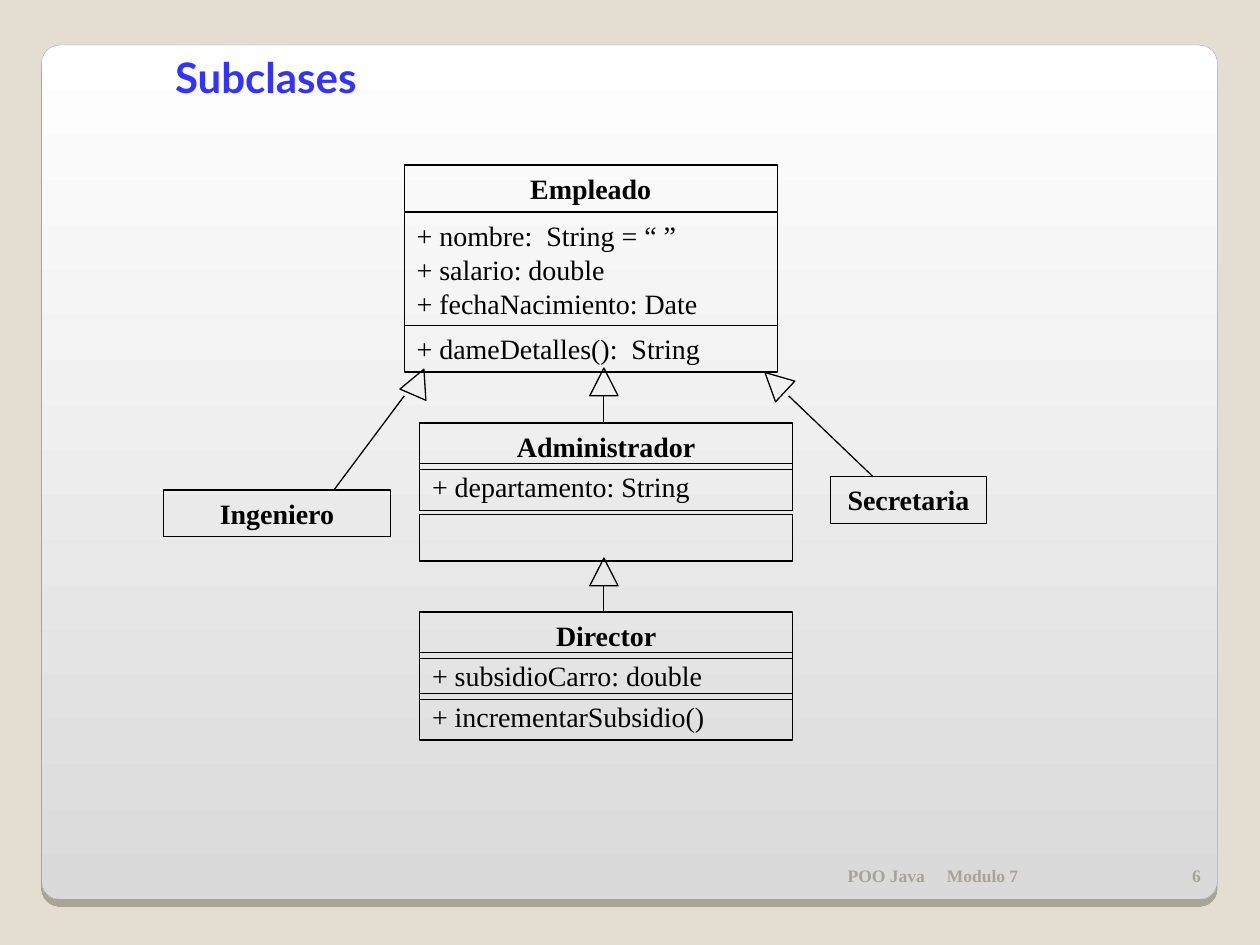
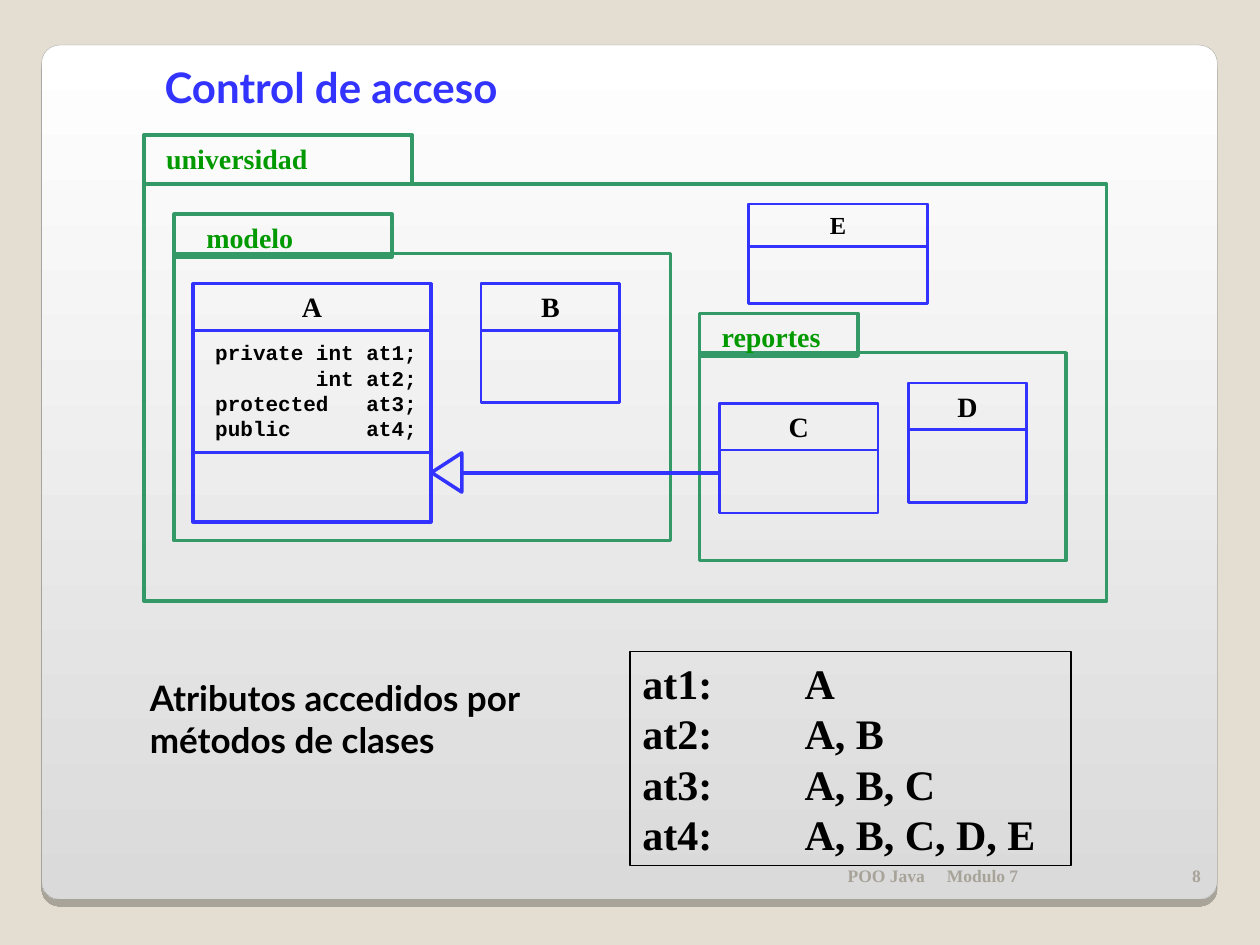
from collections import namedtuple

from lxml import etree
from pptx import Presentation
from pptx.dml.color import RGBColor
from pptx.enum import shapes, text
from pptx.oxml import ns
from pptx.util import Cm, Pt

BACKDROP = "E3DED1"
PANEL_EDGE = "A4A3A3"
FOOTER = "A7A399"
BLUE = "3333FF"
GREEN = "339966"
LABEL_GREEN = "009900"
BLACK = "000000"
SERIF = "Times New Roman"
SANS = "Lato"
MONO = "Courier New"
ROW_HEIGHT = 0.94
LINE_HEIGHT = 0.67
PADDING = 0.25

Style = namedtuple("Style", "size color bold font align", defaults=(BLACK, True, SERIF, "LEFT"))
Stroke = namedtuple("Stroke", "color width")
THIN = Stroke(BLACK, 0.75)
CLASS_STROKE = Stroke(BLUE, 1.5)
STRONG_BLUE = Stroke(BLUE, 2)
PACKAGE_STROKE = Stroke(GREEN, 2)


class Box(namedtuple("Box", "left top width height")):
    def inner(self, left, top, width, height):
        return Box(self.left + left, self.top + top, width, height)

    def point(self, left, top):
        return Cm(self.left + left), Cm(self.top + top)

    def lengths(self):
        return [Cm(value) for value in self]


def rgb(value):
    return RGBColor.from_string(value)


def set_stroke(item, stroke):
    item.line.color.rgb = rgb(stroke.color)
    item.line.width = Pt(stroke.width)


def add_outline(page, box, stroke, kind="RECTANGLE"):
    outline = page.shapes.add_shape(shapes.MSO_SHAPE[kind], *box.lengths())
    outline.shadow.inherit = False
    outline.fill.background()
    set_stroke(outline, stroke)
    return outline


def add_line(page, start, end, stroke):
    line = page.shapes.add_connector(shapes.MSO_CONNECTOR.STRAIGHT, *start, *end)
    set_stroke(line, stroke)
    etree.SubElement(line._element.spPr, ns.qn("a:effectLst"))


def add_tab(para, position):
    stops = etree.SubElement(para._p.get_or_add_pPr(), ns.qn("a:tabLst"))
    etree.SubElement(stops, ns.qn("a:tab"), pos=str(Cm(position)), algn="l")


def write(item, lines, style, anchor="TOP", tab=None):
    frame = item.text_frame
    frame.word_wrap = True
    frame.vertical_anchor = text.MSO_ANCHOR[anchor]
    for index, line in enumerate(lines):
        para = frame.add_paragraph() if index else frame.paragraphs[0]
        para.text = line
        para.alignment = text.PP_ALIGN[style.align]
        if tab:
            add_tab(para, tab)
        para.font.name = style.font
        para.font.size = Pt(style.size)
        para.font.bold = style.bold
        para.font.color.rgb = rgb(style.color)


def add_text(page, box, lines, style, **options):
    write(page.shapes.add_textbox(*box.lengths()), lines, style, **options)


def add_panel(page, box):
    panel = add_outline(page, box, Stroke(PANEL_EDGE, 0.17), "ROUNDED_RECTANGLE")
    panel.adjustments[0] = 0.021
    panel.fill.gradient()
    panel.fill.gradient_angle = 270
    for stop, (position, color) in zip(panel.fill.gradient_stops, [(0, "FFFFFF"), (1, "DADADA")]):
        stop.position = position
        stop.color.rgb = rgb(color)
    effects = panel._element.spPr.find(ns.qn("a:effectLst"))
    shadow = etree.SubElement(effects, ns.qn("a:outerShdw"), blurRad="0", dist=str(Pt(4)),
                              dir="5400000", algn="tl", rotWithShape="0")
    color = etree.SubElement(shadow, ns.qn("a:srgbClr"), val=BLACK)
    etree.SubElement(color, ns.qn("a:alpha"), val="25000")


def add_page(deck, title, title_box, number):
    page = deck.slides.add_slide(deck.slide_layouts[6])
    page.background.fill.solid()
    page.background.fill.fore_color.rgb = rgb(BACKDROP)
    panel = Box(0.84, 0.91, 23.7, 17.22)
    add_panel(page, panel)
    add_text(page, panel.inner(16, 16.06, 6.35, 1.02), ["POO Java\tModulo 7"],
             Style(10, FOOTER), anchor="BOTTOM", tab=2)
    add_text(page, panel.inner(22.35, 16.06, 1.27, 1.02), [number],
             Style(10, FOOTER, align="RIGHT"), anchor="BOTTOM")
    add_text(page, title_box, [title], Style(24, BLUE, font=SANS))
    return page


def add_inheritance(page, area, head, turn, start, end, stroke):
    triangle = add_outline(page, area.inner(*head), stroke, "ISOSCELES_TRIANGLE")
    triangle.rotation = turn
    add_line(page, area.point(*start), area.point(*end), stroke)


def add_class(page, box, name, sections=()):
    header = add_outline(page, box, THIN)
    write(header, [name], Style(16, align="CENTER"))
    for offset, lines in sections:
        height = ROW_HEIGHT + LINE_HEIGHT * max(len(lines) - 1, 0)
        section = add_outline(page, box.inner(0, offset, box.width, height), THIN)
        write(section, lines, Style(16, bold=False))


def add_class_tree(page, area):
    classes = [
        (4.85, 0, 7.52, "Empleado", [
            (0.96, ["+ nombre:  String = “ ”", "+ salario: double", "+ fechaNacimiento: Date"]),
            (3.23, ["+ dameDetalles():  String"])]),
        (5.16, 5.2, 7.52, "Administrador", [(0.82, ["+ departamento: String"]), (1.84, [])]),
        (5.16, 9.01, 7.52, "Director", [
            (0.82, ["+ subsidioCarro: double"]), (1.64, ["+ incrementarSubsidio()"])]),
        (0, 6.55, 4.57, "Ingeniero", []),
        (13.44, 6.28, 3.15, "Secretaria", []),
    ]
    for left, top, width, name, sections in classes:
        add_class(page, area.inner(left, top, width, ROW_HEIGHT), name, sections)
    arrows = [
        (8.59, 4.09, 0, (8.87, 4.65), (8.87, 5.2)),
        (8.59, 7.92, 0, (8.87, 8.48), (8.87, 9.01)),
        (4.85, 4.09, 23.4, (4.85, 4.65), (3.43, 6.55)),
        (12.04, 4.09, 313.1, (12.6, 4.65), (14.3, 6.28)),
    ]
    for left, top, turn, start, end in arrows:
        add_inheritance(page, area, (left, top, 0.57, 0.56), turn, start, end, THIN)


def add_package(page, box, name, tab_width, tab_height, body_top, indent):
    add_outline(page, box.inner(0, body_top, box.width, box.height - body_top), PACKAGE_STROKE)
    tab = add_outline(page, box.inner(0, 0, tab_width, tab_height), PACKAGE_STROKE)
    write(tab, [name], Style(16, LABEL_GREEN))
    tab.text_frame.margin_left = Cm(indent + PADDING)


def add_simple_class(page, box, name, size=16, header_height=ROW_HEIGHT, stroke=CLASS_STROKE):
    add_outline(page, box, stroke)
    header = add_outline(page, box.inner(0, 0, box.width, header_height), stroke)
    write(header, [name], Style(size, align="CENTER"))


def add_package_diagram(page, area):
    add_package(page, area, "universidad", 5.41, 0.99, 0.99, 0.2)
    add_package(page, area.inner(11.2, 3.6, 7.39, 4.98), "reportes", 3.2, 0.86, 0.79, 0.2)
    add_package(page, area.inner(0.61, 1.6, 10.01, 6.58), "modelo", 4.39, 0.86, 0.79, 0.4)
    add_simple_class(page, area.inner(12.19, 1.39, 3.61, 2.01), "E", 14, 0.86)
    class_a = area.inner(0.99, 3, 4.8, 4.8)
    add_simple_class(page, class_a, "A", stroke=STRONG_BLUE)
    add_simple_class(page, area.inner(6.8, 3, 2.79, 2.39), "B")
    add_simple_class(page, area.inner(11.6, 5.41, 3.2, 2.21), "C")
    add_simple_class(page, area.inner(15.41, 5, 2.39, 2.41), "D")
    add_text(page, class_a.inner(0.2, 1.01, 4.8, 2.29), [
        "private int at1;",
        "        int at2;",
        "protected   at3;",
        "public      at4;",
    ], Style(12, font=MONO))
    add_line(page, class_a.point(0, 3.4), class_a.point(class_a.width, 3.4), STRONG_BLUE)
    add_inheritance(page, area, (5.71, 6.5, 0.79, 0.61), 270, (6.4, 6.81), (11.6, 6.81), STRONG_BLUE)


def add_access_summary(page, area):
    add_text(page, area.inner(0, 0.38, 9.32, 1.96),
             ["Atributos accedidos por métodos de clases"], Style(20, font=SANS))
    readers = ["A", "A, B", "A, B, C", "A, B, C, D, E"]
    frame = add_outline(page, area.inner(9.93, 0, 8.89, 4.32), THIN)
    write(frame, [f"at{index}:\t{names}" for index, names in enumerate(readers, 1)],
          Style(24), tab=3.27)


def main():
    deck = Presentation()
    deck.slide_width = Cm(25.4)
    deck.slide_height = Cm(19.05)

    subclasses = add_page(deck, "Subclases", Box(3.28, 0.91, 8, 1.27), "6")
    add_class_tree(subclasses, Box(3.3, 3.33, 16.6, 11.6))

    access = add_page(deck, "Control de acceso", Box(3.07, 1.12, 10, 1.27), "8")
    add_package_diagram(access, Box(2.9, 2.72, 19.41, 9.4))
    add_access_summary(access, Box(2.77, 13.13, 18.82, 4.32))

    deck.save("out.pptx")


if __name__ == "__main__":
    main()
